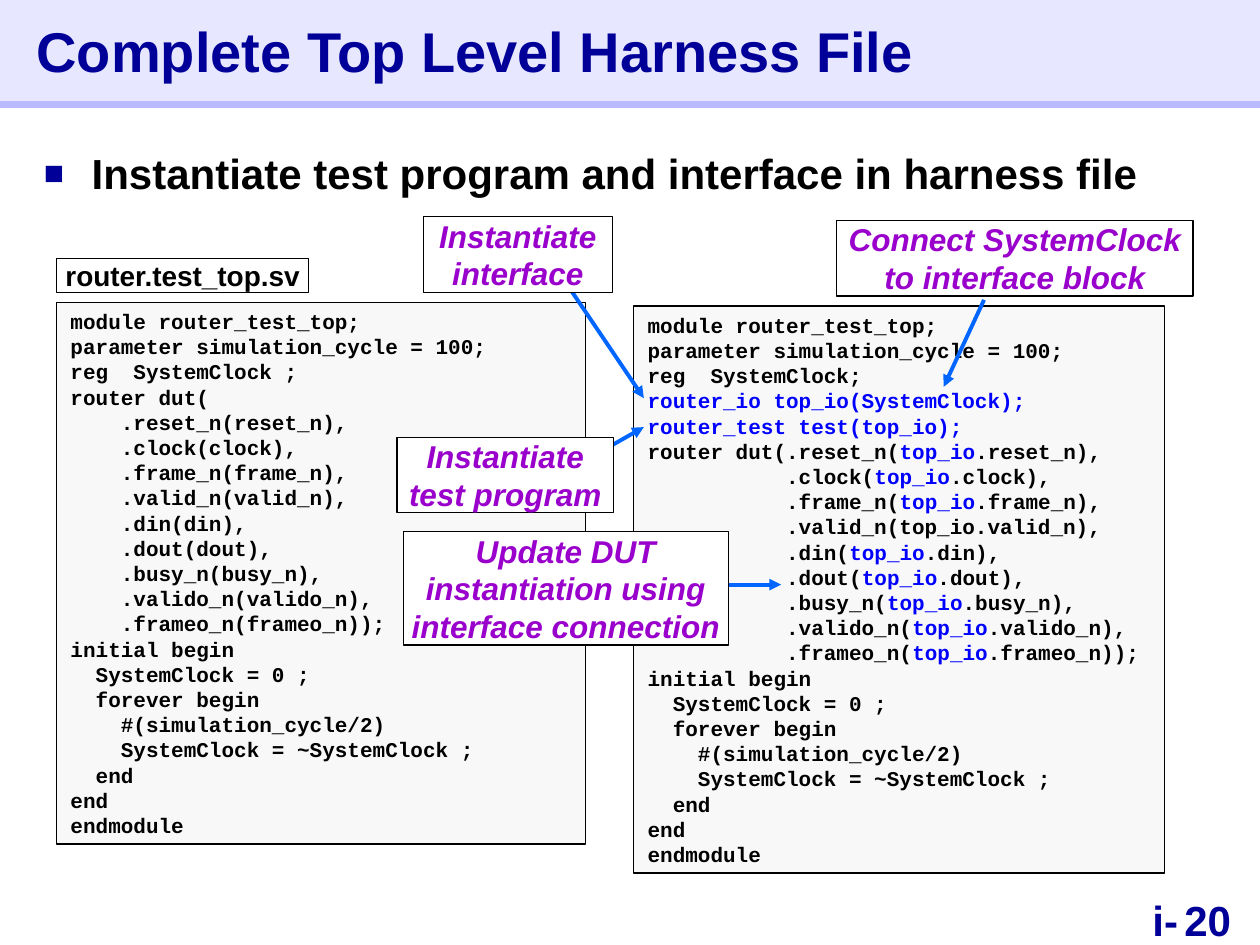
import pptx
import pptx.dml.color
import pptx.enum.shapes
import pptx.enum.text
import pptx.oxml.xmlchemy
import pptx.util

Inches = pptx.util.Inches
ALIGN = pptx.enum.text.PP_ALIGN
COLORS = {
    "navy": "000099", "band": "E7E7FF", "rule": "B9B9FF", "black": "000000",
    "white": "FFFFFF", "code": "F8F8F8", "blue": "0000FF", "purple": "9900CC",
    "arrow": "0066FF",
}


def rgb(name):
    return pptx.dml.color.RGBColor.from_string(COLORS[name])


def child(parent, tag, **attributes):
    element = pptx.oxml.xmlchemy.OxmlElement(tag)
    for key, value in attributes.items():
        element.set(key, value)
    parent.append(element)
    return element


def write(frame, text, size=18, font="Arial", color="black", italic=False,
          align=ALIGN.LEFT, inset=(0, 0), anchor=pptx.enum.text.MSO_ANCHOR.TOP):
    frame.word_wrap = True
    frame.auto_size = pptx.enum.text.MSO_AUTO_SIZE.NONE
    frame.vertical_anchor = anchor
    frame.margin_left = frame.margin_right = Inches(inset[0])
    frame.margin_top = frame.margin_bottom = Inches(inset[1])
    for number, line in enumerate(text.split("\n")):
        paragraph = frame.add_paragraph() if number else frame.paragraphs[0]
        paragraph.alignment = align
        for position, piece in enumerate(line.split("|")):
            if not piece:
                continue
            run = paragraph.add_run()
            run.text = piece
            run.font.name = font
            run.font.size = pptx.util.Pt(size)
            run.font.bold = True
            run.font.italic = italic
            run.font.color.rgb = rgb("blue" if position % 2 else color)


class HarnessSlide:
    def __init__(self, deck):
        self.slide = deck.slides.add_slide(deck.slide_layouts[5])
        self.shapes = self.slide.shapes

    def title(self, text):
        title = self.shapes.title
        title.left, title.top = Inches(0), Inches(0)
        title.width, title.height = Inches(10), Inches(0.8)
        title.fill.solid()
        title.fill.fore_color.rgb = rgb("band")
        write(title.text_frame, text, size=32, color="navy", inset=(0.29, 0.05),
              anchor=pptx.enum.text.MSO_ANCHOR.MIDDLE)
        self.shapes._spTree.append(title._element)

    def text(self, box, text, **style):
        area = self.shapes.add_textbox(*map(Inches, box))
        write(area.text_frame, text, **style)
        return area

    def bullet(self, box, text):
        area = self.text(box, text, size=24, inset=(0.1, 0.09))
        properties = area.text_frame.paragraphs[0]._p.get_or_add_pPr()
        properties.set("marL", str(Inches(0.38)))
        properties.set("indent", str(-Inches(0.38)))
        bullet_color = child(properties, "a:buClr")
        child(bullet_color, "a:srgbClr", val=COLORS["navy"])
        child(properties, "a:buSzPct", val="80000")
        child(properties, "a:buFont", typeface="Arial")
        child(properties, "a:buChar", char="■")

    def panel(self, box, text, fill="white", **style):
        panel = self.shapes.add_shape(
            pptx.enum.shapes.MSO_SHAPE.RECTANGLE, *map(Inches, box))
        panel.shadow.inherit = False
        panel.fill.solid()
        panel.fill.fore_color.rgb = rgb(fill)
        panel.line.color.rgb = rgb("black")
        panel.line.width = pptx.util.Pt(0.75)
        write(panel.text_frame, text, **style)

    def code(self, box, lines):
        self.panel(box, "\n".join(lines), fill="code", size=12,
                   font="Courier New", inset=(0.11, 0.05))

    def callout(self, box, text):
        self.panel(box, text, color="purple", italic=True, align=ALIGN.CENTER)

    def line(self, start, end, color, width, arrow=False):
        line = self.shapes.add_connector(
            pptx.enum.shapes.MSO_CONNECTOR.STRAIGHT, *map(Inches, start + end))
        line.line.color.rgb = rgb(color)
        line.line.width = pptx.util.Pt(width)
        if arrow:
            child(line.line._get_or_add_ln(), "a:tailEnd", type="triangle")
        child(line._element.spPr, "a:effectLst")

    def arrow(self, start, end):
        self.line(start, end, "arrow", 2.25, arrow=True)


HEADER = ["module router_test_top;", "parameter simulation_cycle = 100;"]
PORTS = ["reset_n", "clock", "frame_n", "valid_n", "din", "dout", "busy_n",
         "valido_n", "frameo_n"]
CLOCK_LOOP = [
    "initial begin",
    "  SystemClock = 0 ;",
    "  forever begin",
    "    #(simulation_cycle/2)",
    "    SystemClock = ~SystemClock ;",
    "  end",
    "end",
    "endmodule",
]


def port_end(port):
    return "));" if port == PORTS[-1] else "),"


def interface_port(port):
    interface = "top_io" if port == "valid_n" else "|top_io|"
    lead = "router dut(" if port == PORTS[0] else " " * 11
    return f"{lead}.{port}({interface}.{port}{port_end(port)}"


def main():
    deck = pptx.Presentation()
    deck.slide_width, deck.slide_height = Inches(10), Inches(7.5)
    page = HarnessSlide(deck)

    page.text((9.4, 7.1, 0.6, 0.4), "20", size=24, color="navy")
    page.text((8.55, 7.1, 0.8, 0.4), "i-", size=24, color="navy", align=ALIGN.RIGHT)
    page.line((0, 0.82), (10, 0.82), "rule", 5)

    plain_ports = [f"    .{port}({port}{port_end(port)}" for port in PORTS]
    page.code((0.45, 2.4, 4.2, 4.3),
              HEADER + ["reg  SystemClock ;", "router dut("] + plain_ports + CLOCK_LOOP)
    page.title("Complete Top Level Harness File")
    page.bullet((0.25, 1.08, 9.17, 5.61),
                "Instantiate test program and interface in harness file")
    page.panel((0.45, 2.05, 2, 0.27), "router.test_top.sv", size=16, align=ALIGN.CENTER)

    instances = ["reg  SystemClock;", "|router_io top_io(SystemClock);|",
                 "|router_test test(top_io);|"]
    page.code((5.03, 2.43, 4.21, 4.5),
              HEADER + instances + [interface_port(port) for port in PORTS] + CLOCK_LOOP)

    page.arrow((4.36, 2.05), (5.11, 3.16))
    page.callout((3.36, 1.72, 1.5, 0.6), "Instantiate interface")
    page.arrow((4.53, 3.72), (5.11, 3.39))
    page.callout((3.15, 3.47, 1.72, 0.6), "Instantiate test program")
    page.arrow((7.81, 2.38), (7.49, 3.07))
    page.arrow((4.11, 4.64), (6.2, 4.64))
    page.callout((6.64, 1.75, 2.83, 0.6), "Connect SystemClock to interface block")
    page.callout((3.2, 4.22, 2.58, 0.9),
                 "Update DUT instantiation using interface connection")

    deck.save("out.pptx")


if __name__ == "__main__":
    main()
